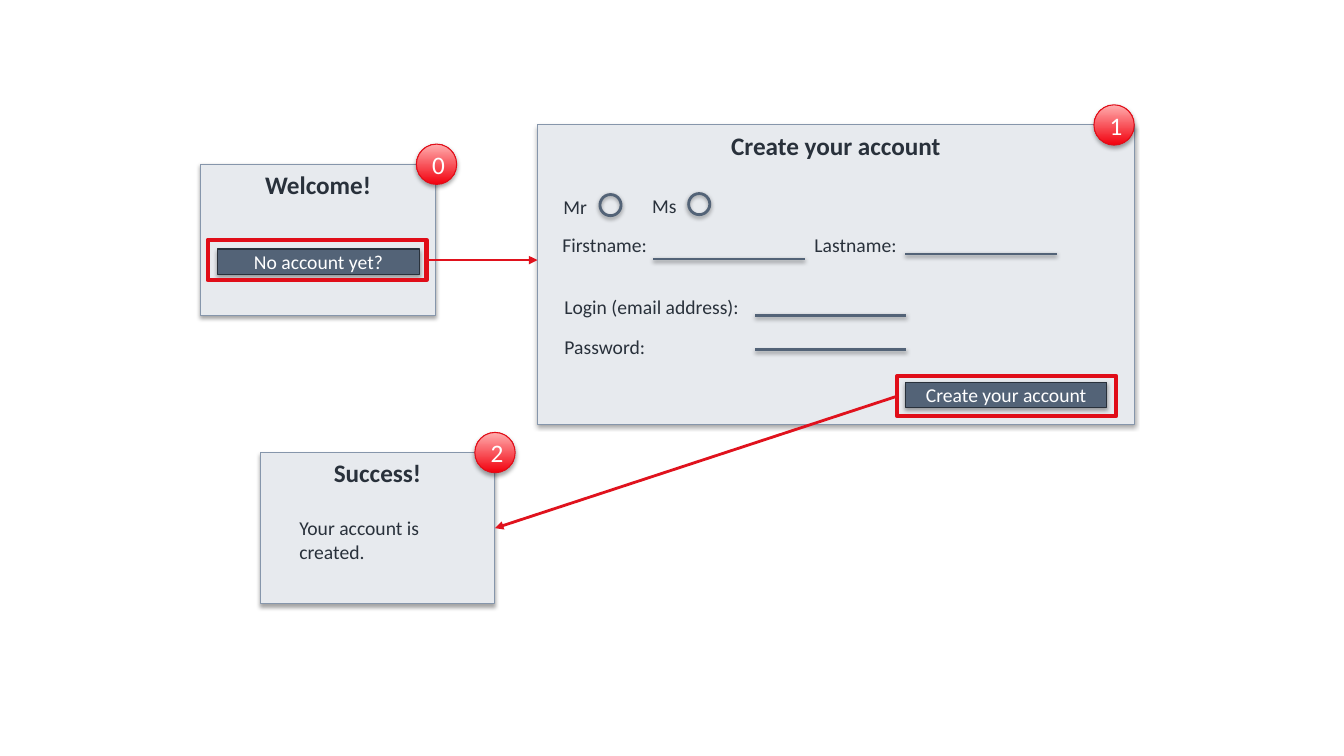
from lxml.etree import SubElement
from pptx import Presentation
from pptx.dml.color import RGBColor
from pptx.enum.shapes import MSO_CONNECTOR as Connector, MSO_SHAPE as Shape
from pptx.enum.text import MSO_ANCHOR as Anchor, MSO_AUTO_SIZE as AutoSize, PP_ALIGN as Align
from pptx.oxml.ns import qn
from pptx.util import Inches, Pt

INK, SLATE, PANEL, EDGE = "29313B", "536377", "E7EAEE", "8696AB"
WHITE, RED, ARROW_RED = "FFFFFF", "E00D18", "E0121D"
BADGE_BOTTOM, BADGE_TOP = "F2000D", "FFAEAF"

TITLE = {"size": Pt(18), "bold": True}
BODY = {"size": Pt(14)}
NUMBER = {"size": Pt(18)}

BADGE = 0.4
RADIO = 0.21
FIELD_WIDTH = 1.5
SOLID_SHADOW = {"opacity": 35, "distance": 1.8}
FIELD_SHADOW = {"opacity": 38, "distance": 1.6}


def rgb(value):
    return RGBColor.from_string(value)


def set_line(item, color, width):
    item.line.color.rgb = rgb(color)
    item.line.width = Pt(width)


def add_shadow(effects, opacity, distance):
    shadow = SubElement(effects, qn("a:outerShdw"), blurRad=str(Pt(3.1)),
                        dist=str(Pt(distance)), dir="5400000",
                        algn="ctr", rotWithShape="0")
    black = SubElement(shadow, qn("a:srgbClr"), val="000000")
    SubElement(black, qn("a:alpha"), val=str(opacity * 1000))


def write(frame, text, color, style, align):
    paragraph = frame.paragraphs[0]
    paragraph.alignment = align
    run = paragraph.add_run()
    run.text = text
    for name, value in {"name": "Calibri", **style}.items():
        setattr(run.font, name, value)
    run.font.color.rgb = rgb(color)


def add_outline(slide, kind, box, color, width, fill=None, shadow=None):
    item = slide.shapes.add_shape(kind, *map(Inches, box))
    item.shadow.inherit = False
    if fill:
        item.fill.solid()
        item.fill.fore_color.rgb = rgb(fill)
    else:
        item.fill.background()
    set_line(item, color, width)
    if shadow:
        add_shadow(item.element.spPr.find(qn("a:effectLst")), **shadow)
    return item


def add_panel(slide, title, *box):
    panel = add_outline(slide, Shape.RECTANGLE, box, EDGE, 0.75, PANEL, SOLID_SHADOW)
    panel.text_frame.vertical_anchor = Anchor.TOP
    write(panel.text_frame, title, INK, TITLE, Align.CENTER)
    return panel


def add_button(slide, text, left, top):
    button = add_outline(slide, Shape.RECTANGLE, (left, top, 2, 0.25),
                         INK, 0.75, SLATE, SOLID_SHADOW)
    button.text_frame.vertical_anchor = Anchor.MIDDLE
    write(button.text_frame, text, WHITE, BODY, Align.CENTER)


def add_highlight(slide, left, top):
    return add_outline(slide, Shape.RECTANGLE, (left, top, 2.17, 0.4), RED, 3)


def add_badge(slide, number, left, top):
    badge = add_outline(slide, Shape.OVAL, (left, top, BADGE, BADGE),
                        RED, 0.75, shadow=SOLID_SHADOW)
    badge.fill.gradient()
    badge.fill.gradient_angle = 90
    for stop, color in zip(badge.fill.gradient_stops, (BADGE_BOTTOM, BADGE_TOP)):
        stop.color.rgb = rgb(color)
    badge.text_frame.vertical_anchor = Anchor.MIDDLE
    write(badge.text_frame, str(number), WHITE, NUMBER, Align.CENTER)


def add_label(slide, text, left, top, width, height=0.34):
    label = slide.shapes.add_textbox(*map(Inches, (left, top, width, height)))
    label.text_frame.word_wrap = True
    label.text_frame.auto_size = AutoSize.SHAPE_TO_FIT_TEXT
    write(label.text_frame, text, INK, BODY, Align.LEFT)


def add_straight(slide, start, end, color):
    straight = slide.shapes.add_connector(Connector.STRAIGHT,
                                          *map(Inches, (*start, *end)))
    set_line(straight, color, 2)
    effects = SubElement(straight.element.spPr, qn("a:effectLst"))
    return straight, effects


def add_field(slide, left, top):
    _, effects = add_straight(slide, (left, top), (left + FIELD_WIDTH, top), SLATE)
    add_shadow(effects, **FIELD_SHADOW)


def add_arrow(slide, start, end):
    arrow, _ = add_straight(slide, start, end, ARROW_RED)
    SubElement(arrow.element.spPr.find(qn("a:ln")), qn("a:tailEnd"), type="triangle")
    return arrow


def main():
    prs = Presentation()
    prs.slide_width, prs.slide_height = Inches(13.33), Inches(7.5)
    slide = prs.slides.add_slide(prs.slide_layouts[6])

    # Screen 0: welcome
    add_panel(slide, "Welcome!", 1.99, 1.63, 2.33, 1.5)
    add_button(slide, "No account yet?", 2.16, 2.47)
    add_badge(slide, 0, 4.13, 1.43)

    # Screen 1: account form
    add_panel(slide, "Create your account", 5.33, 1.24, 5.92, 2.97)
    for text, left, top, width in (
        ("Lastname:", 7.98, 2.26, 1.33),
        ("Firstname:", 5.48, 2.26, 1.25),
        ("Mr", 5.49, 1.88, 0.92),
        ("Ms", 6.37, 1.87, 0.92),
        ("Login (email address):", 5.5, 2.88, 2),
        ("Password:", 5.5, 3.27, 1.08),
    ):
        add_label(slide, text, left, top, width)
    for left, top in ((8.98, 2.52), (6.48, 2.57), (7.49, 3.13), (7.49, 3.47)):
        add_field(slide, left, top)
    for left, top in ((5.95, 1.93), (6.83, 1.92)):
        add_outline(slide, Shape.OVAL, (left, top, RADIO, RADIO),
                    SLATE, 2, shadow=FIELD_SHADOW)
    add_badge(slide, 1, 10.85, 1.04)
    add_button(slide, "Create your account", 8.98, 3.79)

    # Screen 2: confirmation
    success = add_panel(slide, "Success!", 2.58, 4.49, 2.33, 1.5)
    add_label(slide, "Your account is created.", 2.87, 5.07, 1.75, 0.57)

    # Highlighted buttons and the steps they lead to
    sign_up = add_highlight(slide, 2.06, 2.38)
    create = add_highlight(slide, 8.9, 3.73)
    to_form = add_arrow(slide, (4.23, 2.58), (5.33, 2.58))
    to_form.begin_connect(sign_up, 3)
    to_success = add_arrow(slide, (8.9, 3.93), (4.91, 5.24))
    to_success.begin_connect(create, 1)
    to_success.end_connect(success, 3)
    add_badge(slide, 2, 4.71, 4.29)

    prs.save("out.pptx")


if __name__ == "__main__":
    main()
